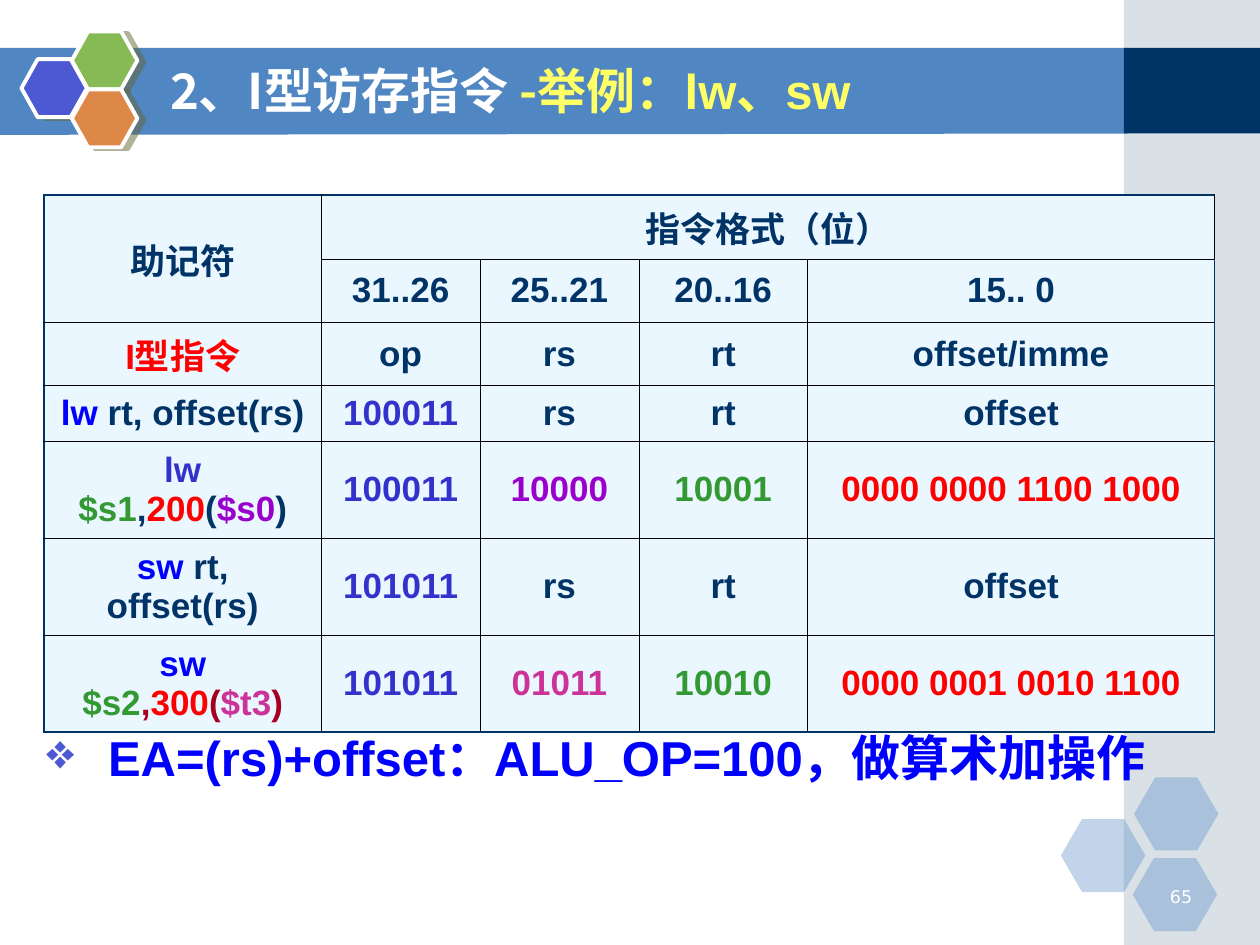
import pptx
import pptx.dml.color
import pptx.enum.shapes
import pptx.enum.text
import pptx.oxml
import pptx.oxml.ns
import pptx.util
from lxml import etree

Inches, Pt, qn = pptx.util.Inches, pptx.util.Pt, pptx.oxml.ns.qn
SHAPE = pptx.enum.shapes.MSO_SHAPE
ALIGN = pptx.enum.text.PP_ALIGN
ANCHOR = pptx.enum.text.MSO_ANCHOR
DRAWING_NS = pptx.oxml.ns.nsdecls("a")
CJK = "Noto Sans CJK SC"
NAVY, BLUE, RED, GREEN = "003366", "0000FF", "FF0000", "339933"
INDIGO, PURPLE, PINK, MAROON = "3333CC", "9900CC", "CC3399", "A50021"


def rgb(color):
    return pptx.dml.color.RGBColor.from_string(color)


def add_runs(paragraph, runs, size, font="Arial", bold=True):
    for text, color in runs:
        run = paragraph.add_run()
        run.text = text
        run.font.size = Pt(size)
        run.font.bold = bold
        run.font.name = font
        run.font.color.rgb = rgb(color)
        etree.SubElement(run.font._element, qn("a:ea"), typeface=CJK)


presentation = pptx.Presentation()
presentation.slide_width, presentation.slide_height = Inches(10), Inches(7.5)
slide = presentation.slides.add_slide(presentation.slide_layouts[5])
shapes = slide.shapes

# Title band
outline = shapes.build_freeform(Inches(-0.01), Inches(0.38))
outline.add_line_segments([(Inches(x), Inches(y)) for x, y in
                           [(8.95, 0.38), (8.95, 1.06), (-0.01, 1.07)]])
band = outline.convert_to_shape()
band.shadow.inherit = False
band.fill.solid()
band.fill.fore_color.rgb = rgb("5086C2")
band.line.fill.background()

# Right column and pale hexagons: shape, left, top, width, height, colour, opacity
backdrop = [
    (SHAPE.RECTANGLE, 8.92, 0, 1.08, 7.5, "A0B5C4", 40),
    (SHAPE.RECTANGLE, 8.92, 0.38, 1.08, 0.68, NAVY, 100),
    (SHAPE.HEXAGON, 8.42, 6.5, 0.67, 0.58, "5086C2", 35),
    (SHAPE.HEXAGON, 9, 6.17, 0.67, 0.58, "5086C2", 35),
    (SHAPE.HEXAGON, 8.99, 6.81, 0.67, 0.58, "5086C2", 35),
]
for preset, left, top, width, height, color, opacity in backdrop:
    part = shapes.add_shape(preset, Inches(left), Inches(top), Inches(width), Inches(height))
    part.shadow.inherit = False
    part.fill.solid()
    part.fill.fore_color.rgb = rgb(color)
    part.line.fill.background()
    if preset == SHAPE.HEXAGON:
        part.adjustments[0] = 0.29
    if opacity < 100:
        tint = part.element.spPr.find(qn("a:solidFill"))[0]
        etree.SubElement(tint, qn("a:alpha"), val=str(opacity * 1000))

# Bright hexagon cluster with hard shadows
for left, top, color in [(0.17, 0.47, "4C59D2"), (0.57, 0.25, "85BA54"), (0.57, 0.71, "DE8848")]:
    cell_mark = shapes.add_shape(SHAPE.HEXAGON, Inches(left), Inches(top), Inches(0.52), Inches(0.46))
    cell_mark.adjustments[0] = 0.28
    cell_mark.fill.solid()
    cell_mark.fill.fore_color.rgb = rgb(color)
    cell_mark.line.color.rgb = rgb("FFFFFF")
    cell_mark.line.width = Pt(2.25)
    cell_mark.shadow.inherit = False
    cell_mark.element.spPr.find(qn("a:effectLst")).append(pptx.oxml.parse_xml(
        f'<a:outerShdw {DRAWING_NS} blurRad="0" dist="{Pt(4.1)}" dir="{14 * 60000}">'
        '<a:srgbClr val="666633"><a:alpha val="50000"/></a:srgbClr></a:outerShdw>'))

# Page number
page_number = shapes.add_textbox(Inches(9.06), Inches(6.98), Inches(0.5), Inches(0.25))
page_number.text_frame.word_wrap = True
page_number.text_frame.paragraphs[0].alignment = ALIGN.RIGHT
add_runs(page_number.text_frame.paragraphs[0], [("65", "FFFFFF")], 10, "DejaVu Sans", False)

# Title, brought in front of the band
title = shapes.title
shapes.element.append(title.element)
title.left, title.top, title.width, title.height = Inches(1.25), Inches(0.44), Inches(7.34), Inches(0.55)
title.text_frame.auto_size = pptx.enum.text.MSO_AUTO_SIZE.NONE
title.text_frame.vertical_anchor = ANCHOR.MIDDLE
heading = title.text_frame.paragraphs[0]
heading.alignment = ALIGN.LEFT
add_runs(heading, [("2、I型访存指令 ", "FFFFFF"), ("-举例：", "FFFF66")], 28, CJK)
add_runs(heading, [("lw、sw", "FFFF66")], 28)

# Instruction format table: each cell is a list of (text, colour)
instruction_rows = [
    [[("助记符", NAVY)], [("指令格式（位）", NAVY)], [], [], []],
    [[], [("31..26", NAVY)], [("25..21", NAVY)], [("20..16", NAVY)], [("15.. 0", NAVY)]],
    [[("I型指令", RED)], [("op", NAVY)], [("rs", NAVY)], [("rt", NAVY)], [("offset/imme", NAVY)]],
    [[("lw ", BLUE), ("rt, offset(rs)", NAVY)],
     [("100011", INDIGO)], [("rs", NAVY)], [("rt", NAVY)], [("offset", NAVY)]],
    [[("lw ", INDIGO), ("$s1", GREEN), (",", NAVY), ("200", RED),
      ("(", NAVY), ("$s0", PURPLE), (")", NAVY)],
     [("100011", INDIGO)], [("10000", PURPLE)], [("10001", GREEN)], [("0000 0000 1100 1000", RED)]],
    [[("sw ", BLUE), ("rt, offset(rs)", NAVY)],
     [("101011", INDIGO)], [("rs", NAVY)], [("rt", NAVY)], [("offset", NAVY)]],
    [[("sw ", BLUE), ("$s2", GREEN), (",", MAROON), ("300", RED),
      ("(", MAROON), ("$t3", PINK), (")", MAROON)],
     [("101011", INDIGO)], [("01011", PINK)], [("10010", GREEN)], [("0000 0001 0010 1100", RED)]],
]
column_widths = [2.2, 1.26, 1.26, 1.34, 3.23]
row_heights = [0.44] * 4 + [0.77] * 3
last_row, last_column = len(row_heights) - 1, len(column_widths) - 1
formats = shapes.add_table(len(row_heights), len(column_widths), Inches(0.35), Inches(1.55),
                           Inches(sum(column_widths)), Inches(sum(row_heights))).table
formats.first_row = formats.horz_banding = False
for column, width in zip(formats.columns, column_widths):
    column.width = Inches(width)
for row, height in zip(formats.rows, row_heights):
    row.height = Inches(height)
formats.cell(0, 0).merge(formats.cell(1, 0))
formats.cell(0, 1).merge(formats.cell(0, last_column))

for r, row in enumerate(instruction_rows):
    for c, runs in enumerate(row):
        cell = formats.cell(r, c)
        cell.fill.solid()
        cell.fill.fore_color.rgb = rgb("EBF7FF")
        cell.vertical_anchor = ANCHOR.MIDDLE
        cell.margin_left = cell.margin_right = Inches(0.1)
        cell.margin_top = cell.margin_bottom = Inches(0.05)
        cell.text_frame.paragraphs[0].alignment = ALIGN.CENTER
        add_runs(cell.text_frame.paragraphs[0], runs, 20)
        # Navy frame outside, thin black lines inside
        outer_sides = [("lnL", c == 0), ("lnR", c == last_column),
                       ("lnT", r == 0), ("lnB", r == last_row)]
        for position, (side, is_outer) in enumerate(outer_sides):
            color, weight = (NAVY, 1.08) if is_outer else ("000000", 0.23)
            cell._tc.get_or_add_tcPr().insert(position, pptx.oxml.parse_xml(
                f'<a:{side} {DRAWING_NS} w="{Pt(weight)}"><a:solidFill>'
                f'<a:srgbClr val="{color}"/></a:solidFill></a:{side}>'))

# Effective address note
address_note = shapes.add_textbox(Inches(0.27), Inches(5.8), Inches(9), Inches(0.71))
address_note.text_frame.word_wrap = True
note = address_note.text_frame.paragraphs[0]
note.line_spacing = 0.83
note_format = note._p.get_or_add_pPr()
note_format.set("marL", str(Inches(0.49)))
note_format.set("indent", str(Inches(-0.49)))
bullet_color = etree.SubElement(note_format, qn("a:buClr"))
etree.SubElement(bullet_color, qn("a:srgbClr"), val="4C59D2")
etree.SubElement(note_format, qn("a:buChar"), char="❖")
add_runs(note, [("EA=(rs)+offset：ALU_OP=100，做算术加操作", BLUE)], 28)

presentation.save("out.pptx")
